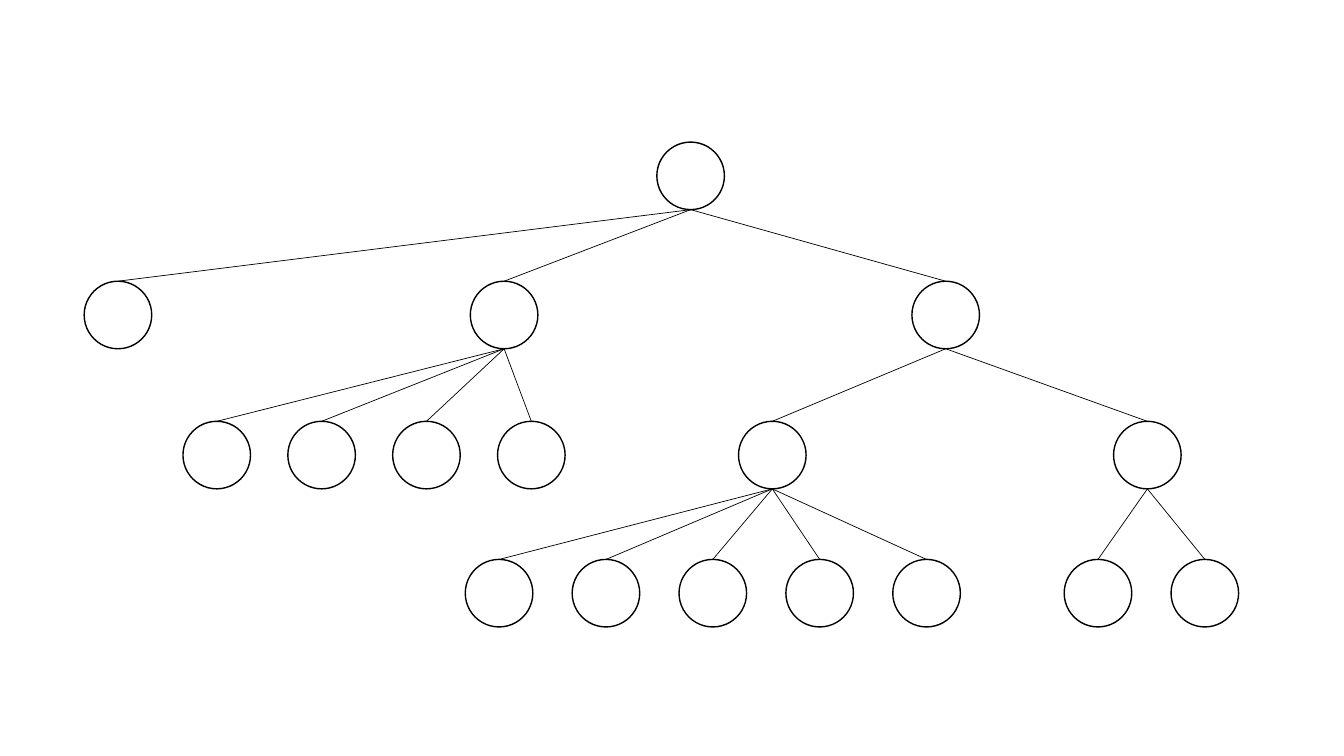
from dataclasses import dataclass
from typing import Iterator

from lxml.etree import SubElement
from pptx import Presentation
from pptx.dml.color import RGBColor
from pptx.dml.line import LineFormat
from pptx.enum.shapes import MSO_CONNECTOR as Connector, MSO_SHAPE as Shape
from pptx.oxml.ns import qn
from pptx.shapes.shapetree import GroupShapes
from pptx.util import Emu, Pt

EMU_PER_PX = 9144
SLIDE_WIDTH, SLIDE_HEIGHT = 1333, 750
DIAMETER = 67
LEVEL_TOPS = (141, 279, 418, 555)
BLACK, WHITE = "000000", "FFFFFF"


@dataclass(frozen=True)
class Node:
    """A tree node with its horizontal centre, level and children."""

    center: int
    level: int
    children: tuple["Node", ...] = ()

    @property
    def top(self) -> int:
        """Return the top edge of the circle."""
        return LEVEL_TOPS[self.level]

    def walk(self) -> Iterator["Node"]:
        """Yield this node and all of its descendants."""
        yield self
        for child in self.children:
            yield from child.walk()


def leaves(first: int, step: int, count: int, level: int) -> tuple[Node, ...]:
    """Return evenly spaced childless nodes."""
    return tuple(Node(first + step * index, level) for index in range(count))


TREE = Node(685, 0, (
    Node(117, 1),
    Node(500, 1, leaves(215, 104, 4, level=2)),
    Node(938, 1, (
        Node(766, 2, leaves(495, 106, 5, level=3)),
        Node(1138, 2, leaves(1089, 106, 2, level=3)),
    )),
))


def px(length: float) -> Emu:
    """Convert pixels to EMU."""
    return Emu(round(length * EMU_PER_PX))


def color(value: str) -> RGBColor:
    """Convert a hex string to a colour."""
    return RGBColor.from_string(value)


def style_line(line: LineFormat, width: float) -> None:
    """Make a line black with the given width in points."""
    line.color.rgb = color(BLACK)
    line.width = Pt(width)


def draw_node(shapes: GroupShapes, node: Node) -> None:
    """Draw the circle of one node."""
    circle = shapes.add_shape(
        Shape.OVAL, px(node.center - DIAMETER / 2), px(node.top), px(DIAMETER), px(DIAMETER)
    )
    circle.shadow.inherit = False
    circle.fill.solid()
    circle.fill.fore_color.rgb = color(WHITE)
    style_line(circle.line, 1)


def draw_edge(shapes: GroupShapes, parent: Node, child: Node) -> None:
    """Draw the line from the bottom of a parent to the top of its child."""
    edge = shapes.add_connector(
        Connector.STRAIGHT, px(parent.center), px(parent.top + DIAMETER), px(child.center), px(child.top)
    )
    style_line(edge.line, 0.5)
    SubElement(edge._element.spPr, qn("a:effectLst"))


def main() -> None:
    """Build the tree slide and save it."""
    presentation = Presentation()
    presentation.slide_width = px(SLIDE_WIDTH)
    presentation.slide_height = px(SLIDE_HEIGHT)
    slide = presentation.slides.add_slide(presentation.slide_layouts[6])
    shapes = slide.shapes.add_group_shape().shapes
    for node in TREE.walk():
        draw_node(shapes, node)
    for parent in TREE.walk():
        for child in parent.children:
            draw_edge(shapes, parent, child)
    presentation.save("out.pptx")


if __name__ == "__main__":
    main()
